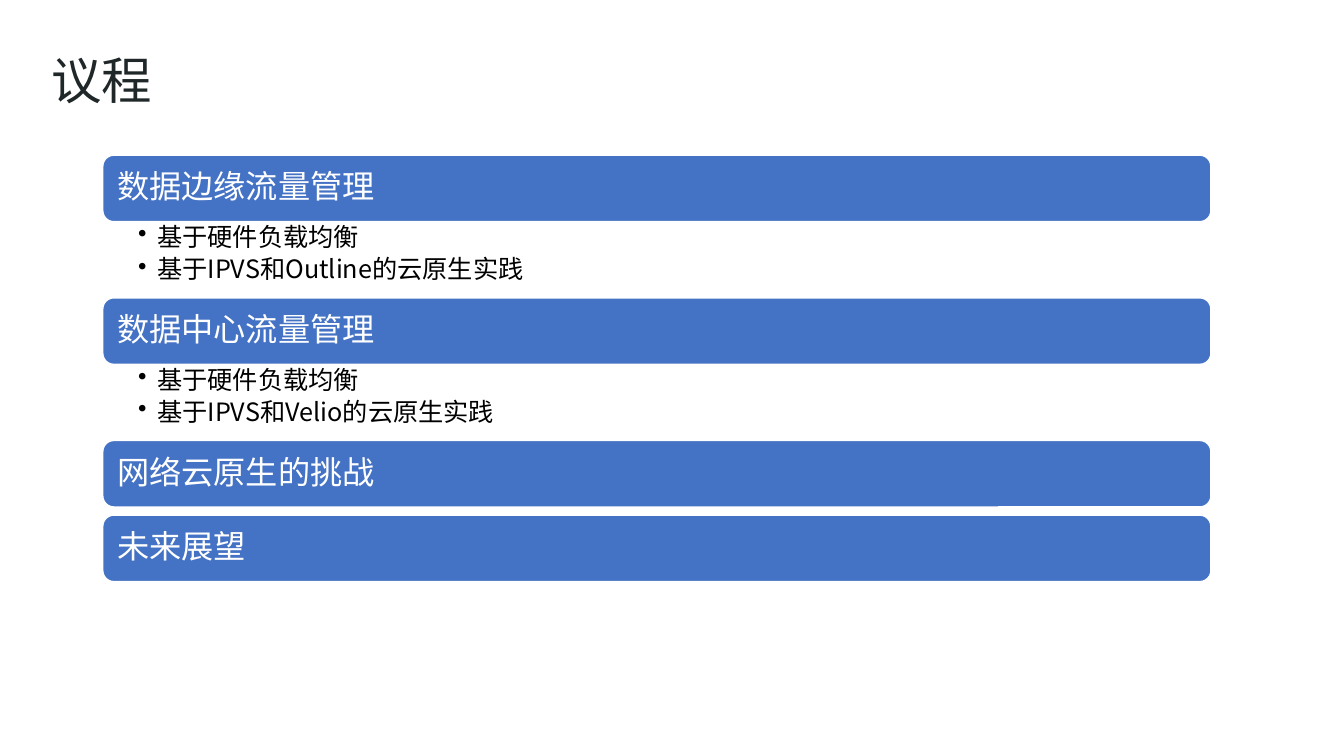
from lxml.etree import SubElement
from pptx import Presentation
from pptx.dml.color import RGBColor
from pptx.enum.shapes import MSO_SHAPE
from pptx.enum.text import MSO_ANCHOR
from pptx.oxml.ns import qn
from pptx.util import Inches, Pt

WHITE = RGBColor(0xFF, 0xFF, 0xFF)
BLACK = RGBColor(0, 0, 0)
INK = RGBColor(0x20, 0x27, 0x29)
BLUE = RGBColor(0x44, 0x72, 0xC4)

HAN_FONT = "Noto Sans CJK SC"
TITLE_FONT = "Lato"

# Agenda grid, in hundredths of the slide's width and height
LEFT, WIDTH = 7.65, 82.45
TOP, BAR, POINTS, GAP = 20.53, 8.8, 10.07, 1.07

AGENDA = [
    ("数据边缘流量管理", ["基于硬件负载均衡", "基于IPVS和Outline的云原生实践"]),
    ("数据中心流量管理", ["基于硬件负载均衡", "基于IPVS和Velio的云原生实践"]),
    ("网络云原生的挑战", []),
    ("未来展望", []),
]


class AgendaSlide:
    """Holds the text styles and the current slide."""

    styles = {
        "title": {"name": TITLE_FONT, "size": Pt(36), "color": INK},
        "bar": {"name": HAN_FONT, "size": Pt(23), "color": WHITE},
        "point": {"name": HAN_FONT, "size": Pt(18), "color": BLACK},
    }
    spacing = {
        "title": {},
        "bar": {"line_spacing": 0.9, "space_after": Pt(8)},
        "point": {"line_spacing": 0.9, "space_after": Pt(3.6)},
    }

    def __init__(self, deck):
        self.column = deck.slide_width / 100
        self.row = deck.slide_height / 100
        self.page = deck.slides.add_slide(deck.slide_layouts[6])

    def place(self, left, top, width, height):
        return (round(left * self.column), round(top * self.row),
                round(width * self.column), round(height * self.row))

    def fill_text(self, box, lines, style, frame_format):
        frame = box.text_frame
        for key, value in {"word_wrap": True, **frame_format}.items():
            setattr(frame, key, value)
        frame.text = "\n".join(lines)
        for para in frame.paragraphs:
            for key, value in self.spacing[style].items():
                setattr(para, key, value)
            span = para.runs[0]
            for key, value in self.styles[style].items():
                if key == "color":
                    span.font.color.rgb = value
                else:
                    setattr(span.font, key, value)
            # East Asian typeface for the Chinese characters
            SubElement(span.font._element, qn("a:ea"), typeface=HAN_FONT)
        return frame

    def title(self, text, *area):
        box = self.page.shapes.add_textbox(*self.place(*area))
        self.fill_text(box, [text], "title", {})

    def bar(self, text, *area):
        box = self.page.shapes.add_shape(
            MSO_SHAPE.ROUNDED_RECTANGLE, *self.place(*area))
        box.shadow.inherit = False
        box.fill.solid()
        box.fill.fore_color.rgb = BLUE
        box.line.color.rgb = WHITE
        box.line.width = Pt(1)
        frame = self.fill_text(box, [text], "bar", {
            "vertical_anchor": MSO_ANCHOR.MIDDLE,
            "margin_left": Inches(0.11), "margin_right": Inches(0.11),
            "margin_top": Inches(0.1), "margin_bottom": Inches(0.1)})
        frame.paragraphs[0]._p.get_or_add_pPr().set("algn", "l")

    def points(self, lines, *area):
        box = self.page.shapes.add_textbox(*self.place(*area))
        frame = self.fill_text(box, lines, "point", {
            "margin_left": Inches(0.35), "margin_right": Inches(0.18),
            "margin_top": Inches(0.03), "margin_bottom": Inches(0.03)})
        for para in frame.paragraphs:
            para.level = 1
            properties = para._p.get_or_add_pPr()
            properties.set("marL", str(Inches(0.19)))
            properties.set("indent", str(-Inches(0.19)))
            SubElement(properties, qn("a:buChar"), char="•")


def main():
    deck = Presentation()
    deck.slide_width, deck.slide_height = Inches(13.33), Inches(7.5)
    slide = AgendaSlide(deck)

    # Heading
    slide.title("议程", 3.08, 5.87, 50, 13.47)

    # Agenda bars, each followed by its points
    top = TOP
    for topic, lines in AGENDA:
        slide.bar(topic, LEFT, top, WIDTH, BAR)
        top += BAR
        if lines:
            slide.points(lines, LEFT, top, WIDTH, POINTS)
            top += POINTS
        else:
            top += GAP

    deck.save("out.pptx")


if __name__ == "__main__":
    main()
